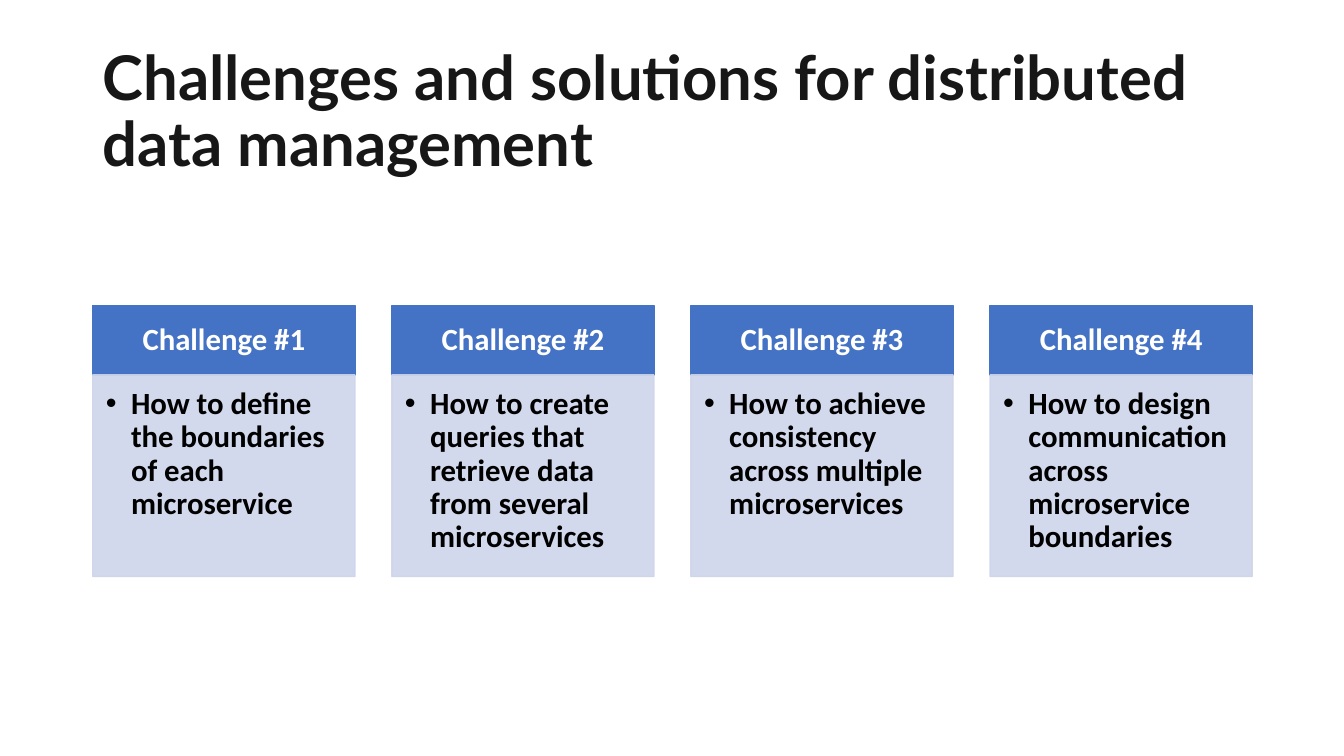
from lxml.etree import SubElement
from pptx import Presentation
from pptx.dml.color import RGBColor
from pptx.enum.shapes import MSO_SHAPE
from pptx.enum.text import MSO_ANCHOR, PP_ALIGN
from pptx.oxml.ns import qn
from pptx.util import Inches, Pt

CHALLENGES = [
    "How to define the boundaries of each microservice",
    "How to create queries that retrieve data from several microservices",
    "How to achieve consistency across multiple microservices",
    "How to design communication across microservice boundaries",
]
LEFT, CONTENT_W = 0.92, 11.5
CARD_W = 2.6
PITCH = (CONTENT_W - CARD_W) / (len(CHALLENGES) - 1)
HEAD_TOP, HEAD_H, BODY_H = 3.03, 0.69, 2


def write(sp, text, size=22, font="Calibri", color="000000", align=PP_ALIGN.LEFT,
          anchor=MSO_ANCHOR.MIDDLE, insets=(0.1, 0.05, 0.1, 0.05), bullet=False):
    tf = sp.text_frame
    tf.word_wrap = True
    tf.vertical_anchor = anchor
    tf.margin_left, tf.margin_top, tf.margin_right, tf.margin_bottom = map(Inches, insets)
    p = tf.paragraphs[0]
    p.alignment = align
    p.line_spacing = 0.9
    if bullet:
        pPr = p._p.get_or_add_pPr()
        pPr.set("marL", str(Inches(0.25)))
        pPr.set("indent", str(-Inches(0.25)))
        SubElement(pPr, qn("a:buFont"), typeface="Arial")
        SubElement(pPr, qn("a:buChar"), char="•")
    r = p.add_run()
    r.text = text
    r.font.name, r.font.size, r.font.bold = font, Pt(size), True
    r.font.color.rgb = RGBColor.from_string(color)


def add_box(x, y, h, color, alpha=100):
    sp = s.shapes.add_shape(MSO_SHAPE.RECTANGLE, Inches(x), Inches(y), Inches(CARD_W), Inches(h))
    sp.shadow.inherit = False
    sp.fill.solid()
    sp.line.width = Pt(1)
    for part in (sp.fill.fore_color, sp.line.color):
        part.rgb = RGBColor.from_string(color)
    if alpha < 100:
        for clr in sp._element.spPr.iter(qn("a:srgbClr")):
            SubElement(clr, qn("a:alpha"), val=str(alpha * 1000))
    return sp


prs = Presentation()
prs.slide_width, prs.slide_height = Inches(13.33), Inches(7.5)
s = prs.slides.add_slide(prs.slide_layouts[6])

title = s.shapes.add_textbox(Inches(LEFT), Inches(0.4), Inches(CONTENT_W), Inches(1.45))
write(title, "Challenges and solutions for distributed data management",
      size=44, font="Lato", color="171717")

for i, challenge in enumerate(CHALLENGES):
    x = LEFT + i * PITCH
    head = add_box(x, HEAD_TOP, HEAD_H, "4472C4")
    write(head, f"Challenge #{i + 1}", color="FFFFFF", align=PP_ALIGN.CENTER,
          insets=(0.17, 0.1, 0.17, 0.1))
    body = add_box(x, HEAD_TOP + HEAD_H, BODY_H, "CFD5EA", alpha=90)
    write(body, challenge, anchor=MSO_ANCHOR.TOP, insets=(0.13, 0.13, 0.17, 0.19), bullet=True)

prs.save("out.pptx")
